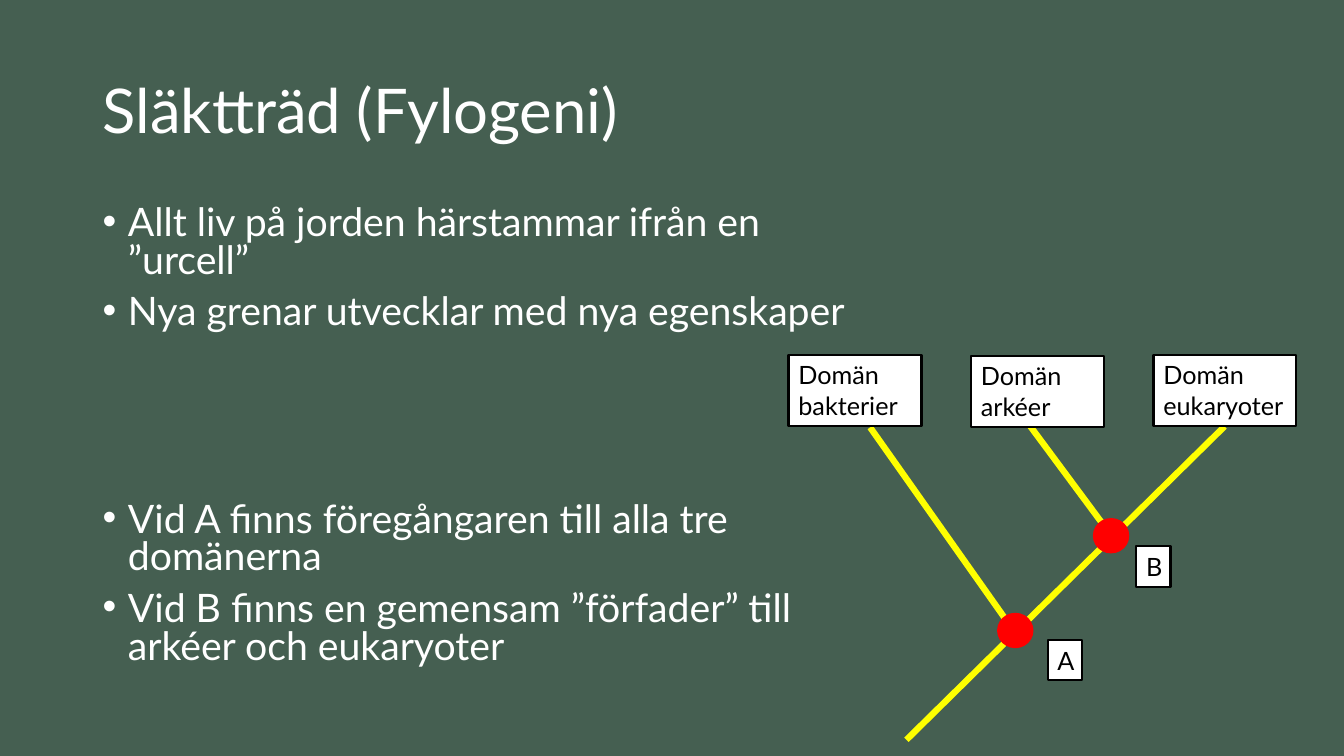
"""Build the slide on the phylogenetic tree of the three domains."""
from lxml import etree
from pptx import Presentation
from pptx.dml.color import RGBColor
from pptx.enum.shapes import MSO_CONNECTOR, MSO_SHAPE
from pptx.enum.text import MSO_ANCHOR, PP_ALIGN
from pptx.oxml.ns import qn
from pptx.util import Inches, Pt

STRAIGHT = MSO_CONNECTOR.STRAIGHT
OVAL, RECTANGLE = MSO_SHAPE.OVAL, MSO_SHAPE.RECTANGLE
TOP, MIDDLE = MSO_ANCHOR.TOP, MSO_ANCHOR.MIDDLE
LEFT = PP_ALIGN.LEFT
WHITE, BLACK, RED, YELLOW, GREEN = "FFFFFF", "000000", "FF0000", "FFFF00", "455F51"
BOTTOM_SITE = 2


def color(value):
    return RGBColor.from_string(value)


def write(shape, text, size, text_color, anchor=TOP):
    text_frame = shape.text_frame
    text_frame.text = text
    text_frame.word_wrap = len(text) > 1
    text_frame.vertical_anchor = anchor
    for paragraph in text_frame.paragraphs:
        paragraph.alignment = LEFT
        for run in paragraph.runs:
            run.font.name = "Lato"
            run.font.size = Pt(size)
            run.font.color.rgb = color(text_color)
    return text_frame


presentation = Presentation()
presentation.slide_width = Inches(13.33)
presentation.slide_height = Inches(7.5)
slide = presentation.slides.add_slide(presentation.slide_layouts[6])
slide.background.fill.solid()
slide.background.fill.fore_color.rgb = color(GREEN)

title = slide.shapes.add_textbox(Inches(0.92), Inches(0.4), Inches(11.5), Inches(1.45))
write(title, "Släktträd (Fylogeni)", 44, WHITE, MIDDLE).paragraphs[0].line_spacing = 0.9

bullets = [
    ("Allt liv på jorden härstammar ifrån en ”urcell”", 0),
    ("Nya grenar utvecklar med nya egenskaper", 10),
    ("Vid A finns föregångaren till alla tre domänerna", 121),
    ("Vid B finns en gemensam ”förfader” till arkéer och eukaryoter", 10),
]
body = slide.shapes.add_textbox(Inches(0.92), Inches(2), Inches(7.72), Inches(4.76))
body_frame = write(body, "\n".join(text for text, _ in bullets), 28, WHITE)
for paragraph, (_, space_before) in zip(body_frame.paragraphs, bullets):
    paragraph.line_spacing = 0.8
    paragraph.space_before = Pt(space_before)
    properties = paragraph._p.get_or_add_pPr()
    properties.set("marL", str(Inches(0.25)))
    properties.set("indent", str(Inches(-0.25)))
    etree.SubElement(properties, qn("a:buFont")).set("typeface", "Arial")
    etree.SubElement(properties, qn("a:buChar")).set("char", "•")

branches = {}
for name, *ends in [
    ("eukaryoter", 8.99, 7.34, 12.14, 4.24),
    ("bakterier", 10.07, 6.28, 8.63, 4.24),
    ("arkéer", 11.02, 5.31, 10.19, 4.19),
]:
    branch = slide.shapes.add_connector(STRAIGHT, *[Inches(value) for value in ends])
    branch.line.color.rgb = color(YELLOW)
    branch.line.width = Pt(4.5)
    etree.SubElement(branch._element.spPr, qn("a:effectLst"))
    branches[name] = branch

tree_shapes = {}
for kind, text, left, top, width, height, fill, line in [
    (OVAL, "", 9.9, 6.09, 0.34, 0.33, RED, RED),
    (OVAL, "", 10.85, 5.15, 0.34, 0.33, RED, RED),
    (RECTANGLE, "A", 10.39, 6.35, 0.34, 0.4, WHITE, BLACK),
    (RECTANGLE, "B", 11.27, 5.42, 0.34, 0.4, WHITE, BLACK),
    (RECTANGLE, "Domän\nbakterier", 7.82, 3.52, 1.32, 0.71, WHITE, BLACK),
    (RECTANGLE, "Domän\narkéer", 9.63, 3.53, 1.32, 0.71, WHITE, BLACK),
    (RECTANGLE, "Domän\neukaryoter", 11.44, 3.52, 1.41, 0.71, WHITE, BLACK),
]:
    shape = slide.shapes.add_shape(kind, Inches(left), Inches(top), Inches(width), Inches(height))
    shape.shadow.inherit = False
    shape.fill.solid()
    shape.fill.fore_color.rgb = color(fill)
    shape.line.color.rgb = color(line)
    shape.line.width = Pt(1.5)
    if text:
        write(shape, text, 18, BLACK)
        tree_shapes[text] = shape

branches["eukaryoter"].end_connect(tree_shapes["Domän\neukaryoter"], BOTTOM_SITE)

presentation.save("out.pptx")
